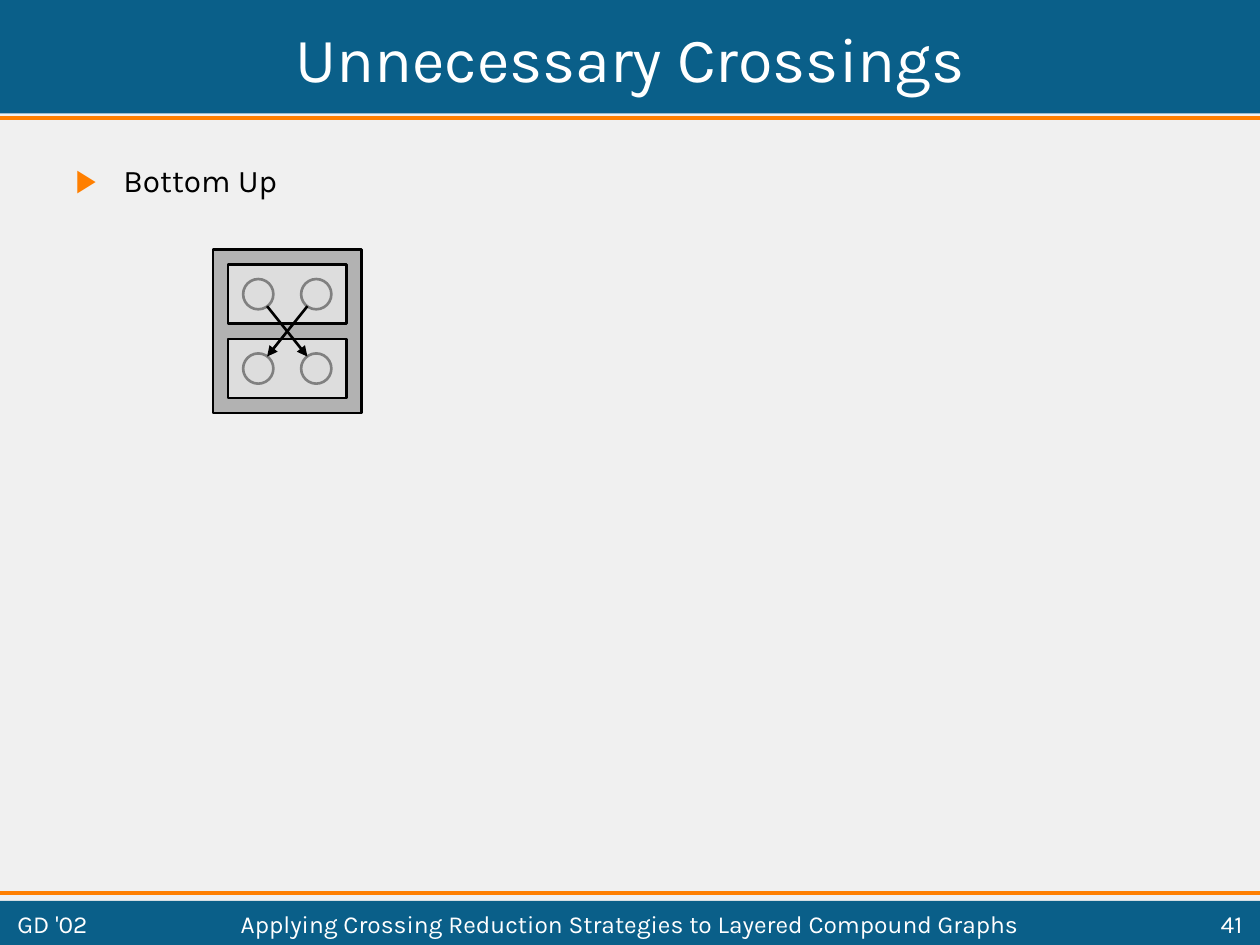
import dataclasses
import pptx
import pptx.util
import pptx.dml.color
import pptx.enum.shapes
import pptx.enum.text
import pptx.oxml
import pptx.oxml.ns
from lxml import etree

Inches = pptx.util.Inches
Pt = pptx.util.Pt
Rgb = pptx.dml.color.RGBColor.from_string
Kind = pptx.enum.shapes.MSO_SHAPE
Align = pptx.enum.text.PP_ALIGN
Anchor = pptx.enum.text.MSO_ANCHOR
qn = pptx.oxml.ns.qn


@dataclasses.dataclass(frozen=True)
class Theme:
    font: str = "Karla"
    back: str = "F0F0F0"
    bar: str = "0A5F89"
    rule: str = "FF7F00"
    light: str = "FFFFFF"
    dark: str = "000000"
    group: str = "B2B2B2"
    cell: str = "DDDDDD"
    ring: str = "808080"
    title: float = 36
    body: float = 18
    foot: float = 14
    thick: float = 2.25
    thin: float = 1.5


THEME = Theme()


def place(shape, box):
    shape.left, shape.top, shape.width, shape.height = map(Inches, box)


def write(shape, text, size, color, align=Align.LEFT, anchor=Anchor.MIDDLE):
    frame = shape.text_frame
    frame.word_wrap = True
    frame.auto_size = pptx.enum.text.MSO_AUTO_SIZE.NONE
    frame.vertical_anchor = anchor
    frame.text = text
    par = frame.paragraphs[0]
    par.alignment = align
    font = par.runs[0].font
    font.name, font.size = THEME.font, Pt(size)
    font.color.rgb = Rgb(color)
    return par


def draw(slide, kind, box, fill, line=None):
    shape = slide.shapes.add_shape(kind, *map(Inches, box))
    shape.shadow.inherit = False
    shape.fill.solid()
    shape.fill.fore_color.rgb = Rgb(fill)
    if line:
        shape.line.color.rgb = Rgb(line)
        shape.line.width = Pt(THEME.thin)
    else:
        shape.line.fill.background()
    return shape


def link(slide, start, end, color, width, arrow=False):
    line = slide.shapes.add_connector(
        pptx.enum.shapes.MSO_CONNECTOR.STRAIGHT, *map(Inches, start + end))
    line.line.color.rgb = Rgb(color)
    line.line.width = Pt(width)
    if arrow:
        etree.SubElement(line.line._get_or_add_ln(), qn("a:tailEnd"), type="triangle")
    etree.SubElement(line.element.spPr, qn("a:effectLst"))


def header(slide, box):
    left, top, width, height = box
    bar = draw(slide, Kind.RECTANGLE, box, THEME.bar)
    title = slide.shapes.title
    title.element.addprevious(bar.element)
    place(title, (left + 0.04, top + 0.04, width - 0.08, height - 0.07))
    write(title, "Unnecessary Crossings", THEME.title, THEME.light, Align.CENTER)
    rule = top + height + 0.04
    link(slide, (left, rule), (left + width, rule), THEME.rule, THEME.thick)


def points(slide, box):
    body = slide.placeholders[1]
    place(body, box)
    par = write(body, "Bottom Up", THEME.body, THEME.dark, anchor=Anchor.TOP)
    par.space_before = Pt(11.2)
    props = par._p.get_or_add_pPr()
    props.set("marL", str(Inches(0.38)))
    props.set("indent", str(-Inches(0.38)))
    tint = etree.SubElement(props, qn("a:buClr"))
    etree.SubElement(tint, qn("a:srgbClr"), val=THEME.rule)
    etree.SubElement(props, qn("a:buChar"), char="▶")


def graph(slide, box):
    left, top, width, height = box
    gap, size = 0.12, 0.24
    wide, high = width - 2 * gap, (height - 3 * gap) / 2
    draw(slide, Kind.RECTANGLE, box, THEME.group, THEME.dark)
    cols = [left + 2 * gap, left + width - 2 * gap - size]
    rows = [top + gap, top + 2 * gap + high]
    for row in rows:
        draw(slide, Kind.RECTANGLE, (left + gap, row, wide, high),
             THEME.cell, THEME.dark)
        for col in cols:
            draw(slide, Kind.OVAL, (col, row + (high - size) / 2, size, size),
                 THEME.cell, THEME.ring)
    mid = left + width / 2
    for side in (1, -1):
        link(slide, (mid + side * 0.16, top + 0.45),
             (mid - side * 0.16, top + 0.85), THEME.dark, THEME.thin, True)


def footer(slide, box):
    left, top, width, height = box
    draw(slide, Kind.RECTANGLE, box, THEME.bar)
    link(slide, (left, top - 0.06), (left + width, top - 0.06),
         THEME.rule, THEME.thick)
    parts = [
        (0.04, 1.18, "GD '02", Align.LEFT),
        (1.3, 7.4, "Applying Crossing Reduction Strategies to Layered Compound Graphs",
         Align.CENTER),
        (8.78, 1.18, "41", Align.RIGHT),
    ]
    for shift, wide, text, align in parts:
        note = slide.shapes.add_textbox(
            *map(Inches, (left + shift, top + 0.04, wide, height - 0.07)))
        write(note, text, THEME.foot, THEME.light, align)


def main():
    deck = pptx.Presentation()
    deck.slide_width, deck.slide_height = Inches(10), Inches(7.5)
    slide = deck.slides.add_slide(deck.slide_layouts[1])
    slide.background.fill.solid()
    slide.background.fill.fore_color.rgb = Rgb(THEME.back)
    header(slide, (0, 0, 10, 0.9))
    points(slide, (0.5, 1.23, 4.42, 5.67))
    graph(slide, (1.69, 1.98, 1.18, 1.3))
    footer(slide, (0, 7.15, 10, 0.35))
    deck.save("out.pptx")


if __name__ == "__main__":
    main()
